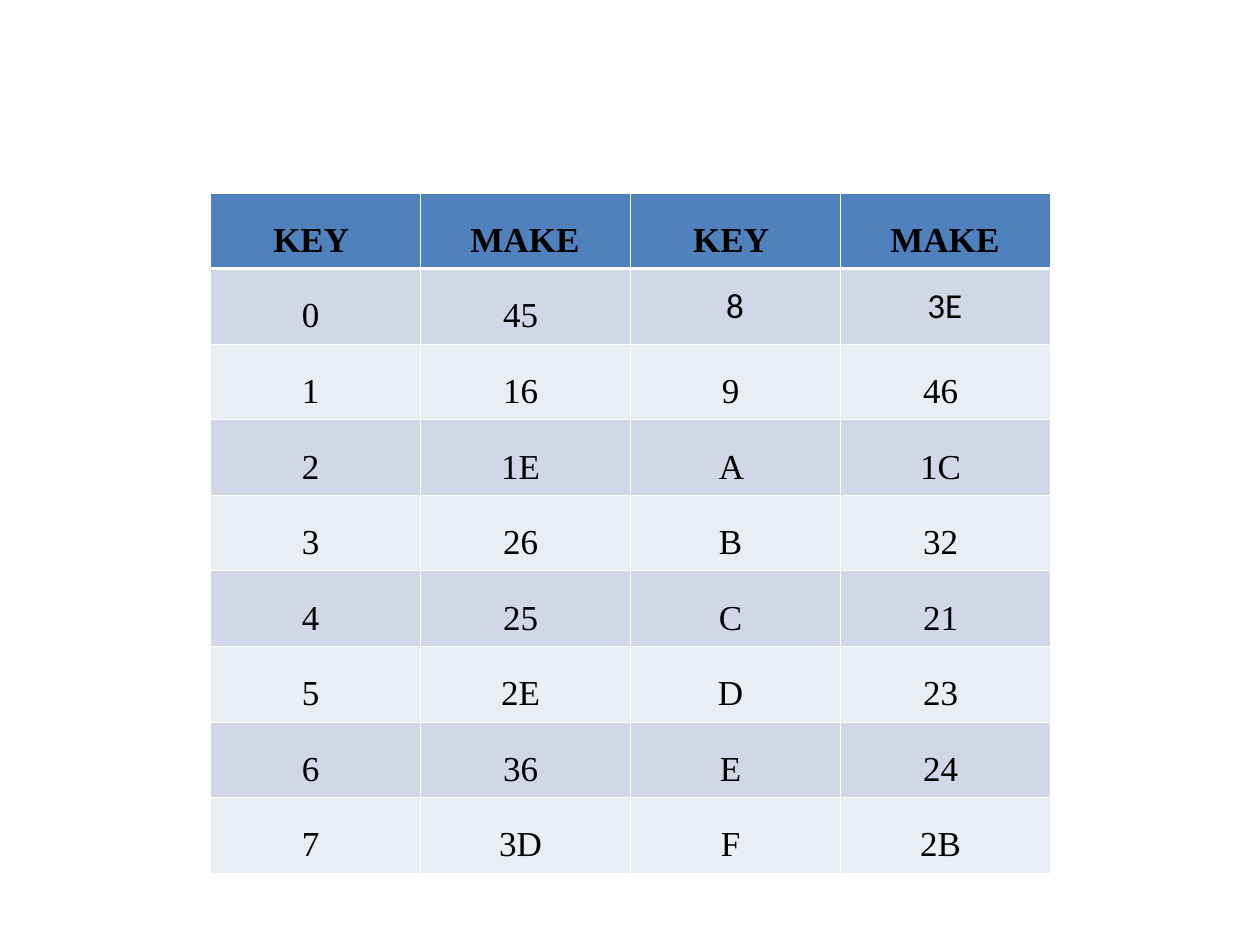
import lxml.etree
import pptx
import pptx.dml.color
import pptx.enum.text
import pptx.oxml.ns
import pptx.util

SCALE = 914400 / 126
HUES = {"head": "4F81BD", "odd": "D0D8E8", "even": "E9EDF4", "line": "FFFFFF", "ink": "000000"}
THIN, THICK = 0.45, 1.47
ROWS = [
    ("KEY ", "MAKE", "KEY ", "MAKE"),
    ("0 ", "45 ", "8", "3E"),
    ("1 ", "16 ", "9 ", "46 "),
    ("2 ", "1E ", "A ", "1C "),
    ("3 ", "26 ", "B ", "32 "),
    ("4 ", "25 ", "C ", "21 "),
    ("5 ", "2E ", "D ", "23 "),
    ("6 ", "36 ", "E ", "24 "),
    ("7 ", "3D ", "F ", "2B "),
]
PLAIN = {(1, 2), (1, 3)}


def px(size):
    return pptx.util.Emu(round(size * SCALE))


def color(name):
    return pptx.dml.color.RGBColor.from_string(HUES[name])


def apply(target, values):
    for name, value in values.items():
        setattr(target, name, value)


class Deck:
    cell_look = {
        "margin_left": px(10), "margin_right": px(10),
        "margin_top": px(6), "margin_bottom": px(6),
        "vertical_anchor": pptx.enum.text.MSO_ANCHOR.MIDDLE,
    }
    font_look = {"size": pptx.util.Pt(20), "name": "Times New Roman"}

    def __init__(self, width, height):
        self.show = pptx.Presentation()
        apply(self.show, {"slide_width": px(width), "slide_height": px(height)})
        self.slide = self.show.slides.add_slide(self.show.slide_layouts[6])

    def border(self, cell, row):
        props = cell._tc.get_or_add_tcPr()
        widths = {"L": THIN, "R": THIN,
                  "T": THICK if row == 1 else THIN,
                  "B": THICK if row == 0 else THIN}
        qn = pptx.oxml.ns.qn
        for side, width in widths.items():
            line = lxml.etree.SubElement(props, qn(f"a:ln{side}"), w=str(pptx.util.Pt(width)))
            fill = lxml.etree.SubElement(line, qn("a:solidFill"))
            lxml.etree.SubElement(fill, qn("a:srgbClr"), val=HUES["line"])

    def cell(self, cell, text, row, plain):
        apply(cell, {"text": text, **self.cell_look})
        self.border(cell, row)
        cell.fill.solid()
        cell.fill.fore_color.rgb = color("head" if row == 0 else "odd" if row % 2 else "even")
        para = cell.text_frame.paragraphs[0]
        apply(para, {"alignment": pptx.enum.text.PP_ALIGN.CENTER,
                     "line_spacing": 1.0 if plain else 1.5})
        font = para.runs[0].font
        apply(font, {**self.font_look, "bold": row == 0})
        if plain:
            font.name = "Calibri"
        font.color.rgb = color("ink")

    def table(self, rows, left, top, width, height):
        frame = self.slide.shapes.add_table(
            len(rows), len(rows[0]), px(left), px(top), px(width), px(height))
        for r, texts in enumerate(rows):
            for c, text in enumerate(texts):
                self.cell(frame.table.cell(r, c), text, r, (r, c) in PLAIN)


def main():
    deck = Deck(1260, 945)
    deck.table(ROWS, 210, 193, 840, 680)
    deck.show.save("out.pptx")


if __name__ == "__main__":
    main()
